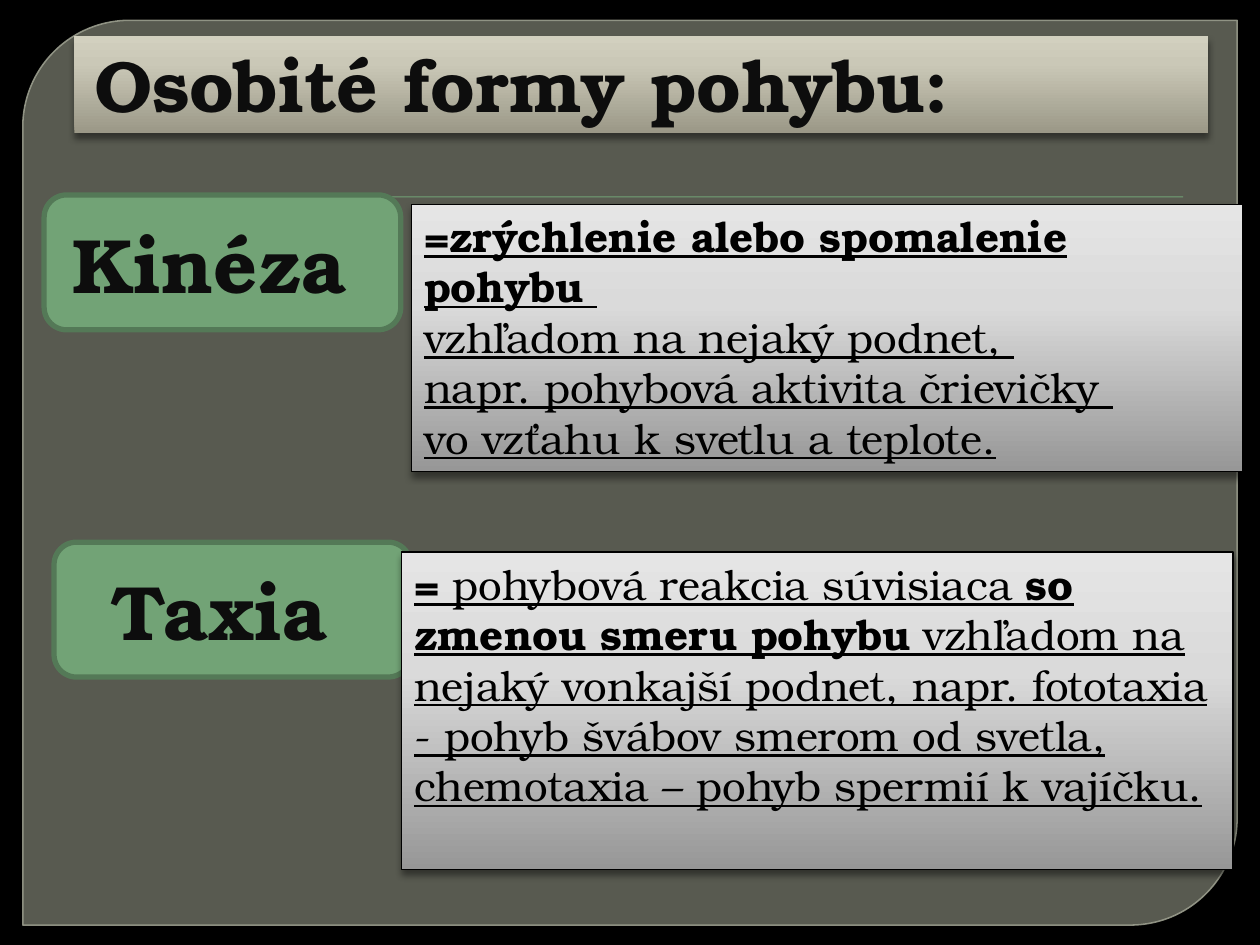
from dataclasses import dataclass

from lxml.etree import SubElement
from pptx import Presentation
from pptx.dml.color import RGBColor
from pptx.enum.shapes import MSO_SHAPE
from pptx.enum.text import MSO_ANCHOR, PP_ALIGN
from pptx.oxml.ns import qn
from pptx.util import Cm, Pt


@dataclass(frozen=True)
class Theme:
    font: str = "TeX Gyre Bonum"
    background: str = "000000"
    panel: str = "888B7B"
    panel_line: str = "9DA090"
    green: str = "72A376"
    green_line: str = "547957"
    heading: str = "0D0D0D"
    body: str = "000000"
    shadow: str = "000000"
    title_gradient: tuple = ((0, "9B9887"), (72, "CAC8B7"), (100, "D2D0BF"))
    grey_gradient: tuple = ((0, "979797"), (62, "DADADA"), (100, "E5E5E5"))
    title_size: float = 41.4
    term_size: float = 44
    body_size: float = 24


THEME = Theme()


def rgb(value):
    return RGBColor.from_string(value)


def add_box(page, kind, left, top, width, height):
    """Add a preset shape, placed in centimetres, with no shadow and no line."""
    box = page.shapes.add_shape(kind, Cm(left), Cm(top), Cm(width), Cm(height))
    box.shadow.inherit = False
    box.line.fill.background()
    return box


def fill_solid(fill, color):
    fill.solid()
    fill.fore_color.rgb = rgb(color)


def set_line(box, color, width):
    fill_solid(box.line.fill, color)
    box.line.width = Pt(width)


def fill_gradient(box, stops):
    """Fill from bottom to top with (percent, colour) stops."""
    box.fill.gradient()
    box.fill.gradient_angle = 90
    stop_list = box.element.spPr.find(f".//{qn('a:gsLst')}")
    for old_stop in list(stop_list):
        stop_list.remove(old_stop)
    for percent, color in stops:
        stop = SubElement(stop_list, qn("a:gs"), pos=str(percent * 1000))
        SubElement(stop, qn("a:srgbClr"), val=color)


def set_opacity(box, fill_percent, line_percent):
    colors = box.element.spPr.iter(qn("a:srgbClr"))
    for color, percent in zip(list(colors), (fill_percent, line_percent)):
        SubElement(color, qn("a:alpha"), val=str(percent * 1000))


def add_shadow(box, opacity, blur, distance):
    effects = box.element.spPr.find(qn("a:effectLst"))
    shadow = SubElement(effects, qn("a:outerShdw"), blurRad=str(Pt(blur)),
                        dist=str(Pt(distance)), dir="5400000", rotWithShape="0")
    color = SubElement(shadow, qn("a:srgbClr"), val=THEME.shadow)
    SubElement(color, qn("a:alpha"), val=str(opacity * 1000))


def write(box, paragraphs, size, color, anchor, align=PP_ALIGN.LEFT, underline=False):
    """Write paragraphs, each a list of (text, bold) runs."""
    frame = box.text_frame
    frame.word_wrap = True
    frame.vertical_anchor = anchor
    for index, runs in enumerate(paragraphs):
        para = frame.add_paragraph() if index else frame.paragraphs[0]
        para.alignment = align
        for text, bold in runs:
            span = para.add_run()
            span.text = text
            span.font.name = THEME.font
            span.font.size = Pt(size)
            span.font.bold = bold
            span.font.underline = underline
            span.font.color.rgb = rgb(color)


def add_panel(page):
    panel = add_box(page, MSO_SHAPE.ROUND_2_DIAG_RECTANGLE, 0.46, 0.41, 24.48, 18.24)
    panel.adjustments[0] = 0.118
    panel.adjustments[1] = 0
    fill_solid(panel.fill, THEME.panel)
    set_line(panel, THEME.panel_line, 0.87)
    set_opacity(panel, 65, 88)


def add_rule(page):
    rule = add_box(page, MSO_SHAPE.RECTANGLE, 1.63, 3.96, 22.22, 0.02)
    fill_solid(rule.fill, THEME.green)
    add_shadow(rule, 75, 1, 1)


def add_title(page, text):
    title = add_box(page, MSO_SHAPE.RECTANGLE, 1.5, 0.73, 22.86, 1.96)
    fill_gradient(title, THEME.title_gradient)
    add_shadow(title, 43, 4, 3)
    title.text_frame.margin_left = Cm(0.4)
    write(title, [[(text, True)]], THEME.title_size, THEME.heading, MSO_ANCHOR.BOTTOM)


def add_term(page, text, left, top):
    term = add_box(page, MSO_SHAPE.ROUNDED_RECTANGLE, left, top, 7.19, 2.72)
    fill_solid(term.fill, THEME.green)
    set_line(term, THEME.green_line, 3)
    write(term, [[(text, True)]], THEME.term_size, THEME.heading,
          MSO_ANCHOR.MIDDLE, PP_ALIGN.CENTER)


def add_definition(page, paragraphs, left, top, height):
    definition = add_box(page, MSO_SHAPE.RECTANGLE, left, top, 16.76, height)
    fill_gradient(definition, THEME.grey_gradient)
    set_line(definition, THEME.body, 0.75)
    add_shadow(definition, 43, 4, 3)
    write(definition, paragraphs, THEME.body_size, THEME.body,
          MSO_ANCHOR.TOP, underline=True)


def main():
    deck = Presentation()
    deck.slide_width, deck.slide_height = Cm(25.4), Cm(19.05)
    page = deck.slides.add_slide(deck.slide_layouts[6])
    fill_solid(page.background.fill, THEME.background)

    add_panel(page)
    add_rule(page)
    add_title(page, "Osobité formy pohybu:")
    add_term(page, "Kinéza ", 0.89, 3.93)
    add_term(page, "Taxia ", 1.09, 10.93)

    kinesis = [
        [("=zrýchlenie alebo spomalenie pohybu", True), (" ", False)],
        [("vzhľadom na nejaký podnet, ", False)],
        [("napr. pohybová aktivita črievičky ", False)],
        [("vo vzťahu k svetlu a teplote.", False)],
    ]
    taxis = [[
        ("=", True),
        (" pohybová reakcia súvisiaca ", False),
        ("so zmenou smeru pohybu", True),
        (" vzhľadom na nejaký vonkajší podnet, napr. fototaxia - pohyb švábov "
         "smerom od svetla, chemotaxia – pohyb spermií k vajíčku.", False),
    ]]
    add_definition(page, kinesis, 8.3, 4.12, 5.38)
    add_definition(page, taxis, 8.1, 11.13, 6.4)
    deck.save("out.pptx")


if __name__ == "__main__":
    main()
